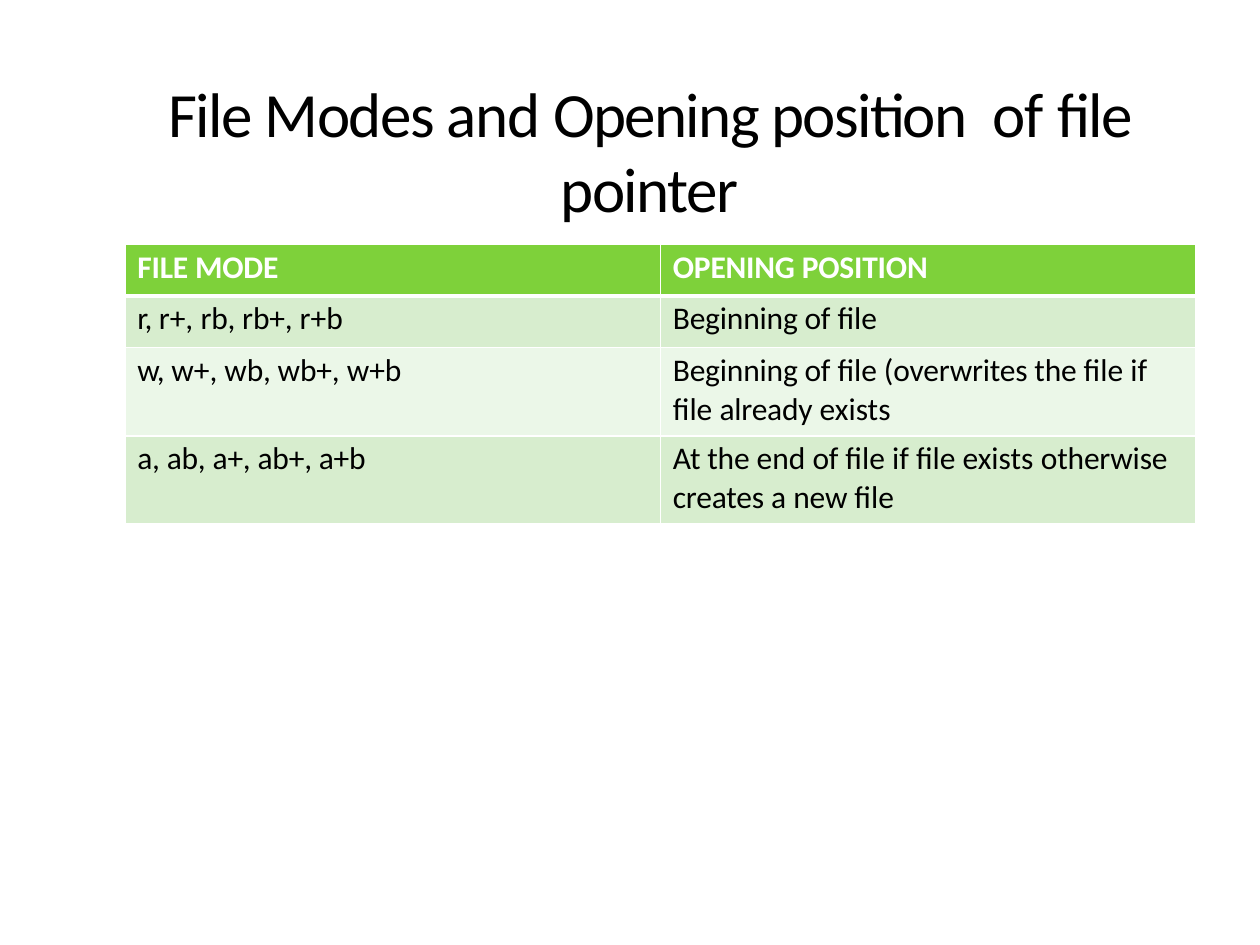
from lxml import etree
from pptx import Presentation
from pptx import util as u
from pptx.dml.color import RGBColor
from pptx.enum import text
from pptx.oxml import ns

BLACK = RGBColor(0x00, 0x00, 0x00)
WHITE = RGBColor(0xFF, 0xFF, 0xFF)
GREEN = RGBColor(0x7E, 0xD1, 0x3A)
PALE_GREEN = RGBColor(0xD7, 0xED, 0xCE)
MINT = RGBColor(0xEB, 0xF7, 0xE8)

# Text is a list of paragraphs; each paragraph lists (words, letter spacing in points).
TITLE = [[("File Modes and ", -0.8), ("Opening position  ", -0.9), ("of ", -0.6),
          ("file ", -0.8), ("pointer", -0.9)]]
MODE_ROWS = [
    ([[("FILE MODE", -0.1)]], [[("OPENING POSITION", -0.1)]]),
    ([[("r, ", -0.5), ("r+, ", 0), ("rb, rb+, ", -0.1), ("r+b", 0)]],
     [[("Beginning of ", -0.1), ("file", 0)]]),
    ([[("w, ", -0.2), ("w+,", 0), (" wb, wb+,", -0.1), (" w+b", 0)]],
     [[("Beginning of ", -0.1), ("file", 0), (" (overwrites the ", -0.1), ("file if", 0)],
      [("file ", 0), ("already ", -0.1), ("exists", 0)]]),
    ([[("a, ab, a+, ab+, a+b", -0.1)]],
     [[("At the ", -0.1), ("end ", 0), ("of ", -0.1), ("file if file exists ", 0),
       ("otherwise  creates ", -0.1), ("a ", 0), ("new ", -0.1), ("file", 0)]]),
]
ROW_HEIGHTS = [0.41, 0.41, 0.7, 0.7]
ROW_FILLS = [GREEN, PALE_GREEN, MINT, PALE_GREEN]


def set_all(target, values):
    for name, value in values.items():
        setattr(target, name, value)


class SlideBuilder:
    font_name = "Calibri"

    def __init__(self, page):
        self.page = page

    def fill_text(self, frame, paragraphs, size, color, bold=False, before=(1,), indent=0.01,
                  align=text.PP_ALIGN.LEFT):
        """Fill a text frame; before gives the space above each paragraph in points."""
        for index, spans in enumerate(paragraphs):
            para = frame.paragraphs[0] if index == 0 else frame.add_paragraph()
            set_all(para, {"alignment": align, "space_before": u.Pt(before[index])})
            para._p.get_or_add_pPr().set("marL", str(u.Inches(indent)))
            for words, spacing in spans:
                span = para.add_run()
                span.text = words
                set_all(span.font, {"name": self.font_name, "size": u.Pt(size), "bold": bold})
                span.font.color.rgb = color
                span._r.get_or_add_rPr().set("spc", str(round(spacing * 100)))

    def title(self, paragraphs, left, top, width, height):
        box = self.page.shapes.add_textbox(*map(u.Inches, (left, top, width, height)))
        set_all(box.text_frame, {
            "word_wrap": True, "vertical_anchor": text.MSO_ANCHOR.MIDDLE,
            "margin_left": 0, "margin_right": 0,
            "margin_top": u.Inches(0.01), "margin_bottom": 0})
        self.fill_text(box.text_frame, paragraphs, 36, BLACK, align=text.PP_ALIGN.CENTER)

    def border(self, cell, side, width):
        line = etree.SubElement(cell._tc.get_or_add_tcPr(), ns.qn(f"a:ln{side}"),
                                w=str(u.Pt(width)))
        fill = etree.SubElement(line, ns.qn("a:solidFill"))
        etree.SubElement(fill, ns.qn("a:srgbClr"), val=str(WHITE))

    def table(self, rows, heights, fills, left, top, width):
        shape = self.page.shapes.add_table(
            len(rows), len(rows[0]), *map(u.Inches, (left, top, width, sum(heights))))
        table = shape.table
        set_all(table, {"first_row": False, "horz_banding": False})
        for row_index, row in enumerate(rows):
            table.rows[row_index].height = u.Inches(heights[row_index])
            is_header = row_index == 0
            edges = {"L": 1, "R": 1, "T": 3 if row_index == 1 else 1,
                     "B": 3 if is_header else 1}
            for column_index, paragraphs in enumerate(row):
                cell = table.cell(row_index, column_index)
                set_all(cell, {"margin_left": 0, "margin_right": 0,
                               "margin_top": u.Inches(0.03), "margin_bottom": 0})
                for side, weight in edges.items():
                    self.border(cell, side, weight)
                cell.fill.solid()
                cell.fill.fore_color.rgb = fills[row_index]
                self.fill_text(cell.text_frame, paragraphs, 18, WHITE if is_header else BLACK,
                               bold=is_header, before=(2.4, 0.1), indent=0.1)


def main():
    deck = Presentation()
    set_all(deck, {"slide_width": u.Inches(10), "slide_height": u.Inches(7.5)})
    builder = SlideBuilder(deck.slides.add_slide(deck.slide_layouts[6]))
    builder.title(TITLE, 1.09, 0.57, 8.12, 1.23)
    builder.table(MODE_ROWS, ROW_HEIGHTS, ROW_FILLS, 0.99, 1.94, 8.5)
    deck.save("out.pptx")


if __name__ == "__main__":
    main()
